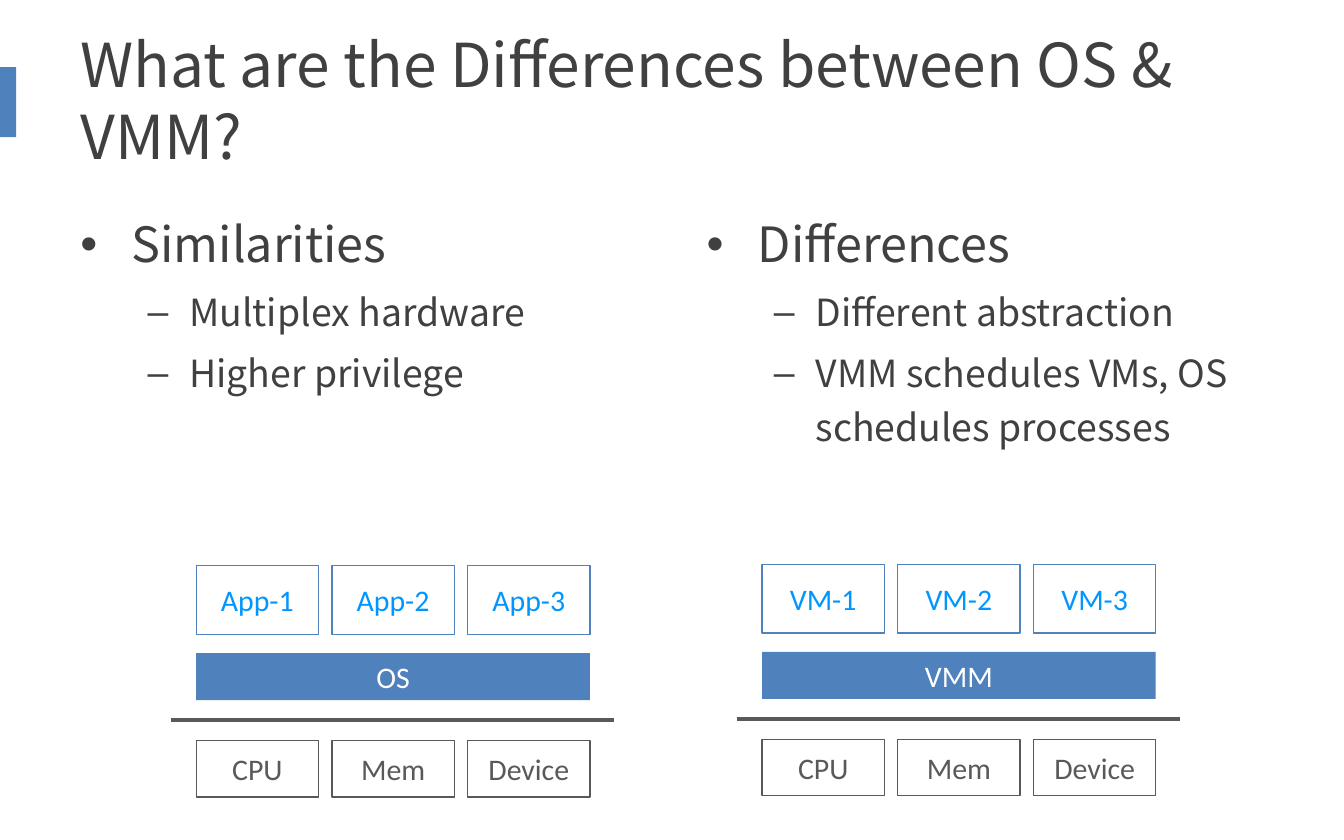
from lxml.etree import SubElement
from pptx import Presentation
from pptx.dml.color import RGBColor
from pptx.enum.shapes import MSO_CONNECTOR, MSO_SHAPE
from pptx.enum.text import MSO_ANCHOR, PP_ALIGN
from pptx.oxml.ns import qn
from pptx.util import Pt

SCALE = 9144
BLUE = RGBColor(0x4F, 0x81, 0xBD)
SKY = RGBColor(0x00, 0x96, 0xFF)
GRAY = RGBColor(0x59, 0x59, 0x59)
DARK = RGBColor(0x40, 0x40, 0x40)
WHITE = RGBColor(0xFF, 0xFF, 0xFF)
SANS = "Noto Sans CJK SC"
BODY = "Calibri"


def px(*nums):
    return [n * SCALE for n in nums]


def style(para, name, size, color):
    para.font.name = name
    para.font.size = Pt(size)
    para.font.color.rgb = color


def add_rect(slide, x, y, w, h, fill=None, line=None):
    rect = slide.shapes.add_shape(MSO_SHAPE.RECTANGLE, *px(x, y, w, h))
    rect.shadow.inherit = False
    if fill is None:
        rect.fill.background()
    else:
        rect.fill.solid()
        rect.fill.fore_color.rgb = fill
    if line is None:
        rect.line.fill.background()
    else:
        rect.line.color.rgb = line
        rect.line.width = Pt(0.75)
    return rect


def add_label(rect, text, color):
    frame = rect.text_frame
    frame.vertical_anchor = MSO_ANCHOR.MIDDLE
    para = frame.paragraphs[0]
    para.text = text
    para.alignment = PP_ALIGN.CENTER
    style(para, BODY, 16, color)


def add_title(slide, x, y, w, h, text):
    frame = slide.shapes.add_textbox(*px(x, y, w, h)).text_frame
    frame.word_wrap = True
    frame.vertical_anchor = MSO_ANCHOR.MIDDLE
    para = frame.paragraphs[0]
    para.text = text
    style(para, SANS, 32.4, DARK)


def add_bullet(para, text, level):
    size, left, hang, gap, mark = [
        (26, 38, 38, 12, "•"),
        (20, 81, 31, 4, "–"),
    ][level]
    para.text = text
    para.level = level
    para.line_spacing = 1.2
    para.space_before = Pt(gap)
    props = para._p.get_or_add_pPr()
    props.set("marL", str(left * SCALE))
    props.set("indent", str(-hang * SCALE))
    SubElement(props, qn("a:buFont")).set("typeface", "Arial")
    SubElement(props, qn("a:buChar")).set("char", mark)
    style(para, SANS, size, DARK)


def add_list(slide, x, y, w, h, head, items):
    frame = slide.shapes.add_textbox(*px(x, y, w, h)).text_frame
    frame.word_wrap = True
    add_bullet(frame.paragraphs[0], head, 0)
    for item in items:
        add_bullet(frame.add_paragraph(), item, 1)


def add_row(slide, x, y, w, h, names, line, color):
    gap = 10
    cell = (w - gap * (len(names) - 1)) // len(names)
    for i, name in enumerate(names):
        rect = add_rect(slide, x + i * (cell + gap), y, cell, h, line=line)
        add_label(rect, name, color)


def add_stack(slide, x, y, w, guests, host):
    add_row(slide, x, y, w, 51, guests, BLUE, SKY)
    add_label(add_rect(slide, x, y + 65, w, 35, fill=BLUE), host, WHITE)
    rule = slide.shapes.add_connector(
        MSO_CONNECTOR.STRAIGHT, *px(x - 19, y + 115, x + w + 18, y + 115)
    )
    rule.line.color.rgb = GRAY
    rule.line.width = Pt(2)
    SubElement(rule._element.spPr, qn("a:effectLst"))
    add_row(slide, x, y + 130, w, 42, ["CPU", "Mem", "Device"], GRAY, GRAY)


def main():
    deck = Presentation()
    deck.slide_width, deck.slide_height = px(1000, 625)
    slide = deck.slides.add_slide(deck.slide_layouts[6])
    add_rect(slide, 0, 50, 12, 52, fill=BLUE)
    add_title(slide, 50, 25, 900, 98,
              "What are the Differences between OS & VMM?")
    add_list(slide, 50, 146, 442, 260, "Similarities",
             ["Multiplex hardware", "Higher privilege"])
    add_list(slide, 516, 146, 442, 260, "Differences",
             ["Different abstraction",
              "VMM schedules VMs, OS schedules processes"])
    add_stack(slide, 146, 421, 293, ["App-1", "App-2", "App-3"], "OS")
    add_stack(slide, 567, 420, 293, ["VM-1", "VM-2", "VM-3"], "VMM")
    deck.save("out.pptx")


if __name__ == "__main__":
    main()
